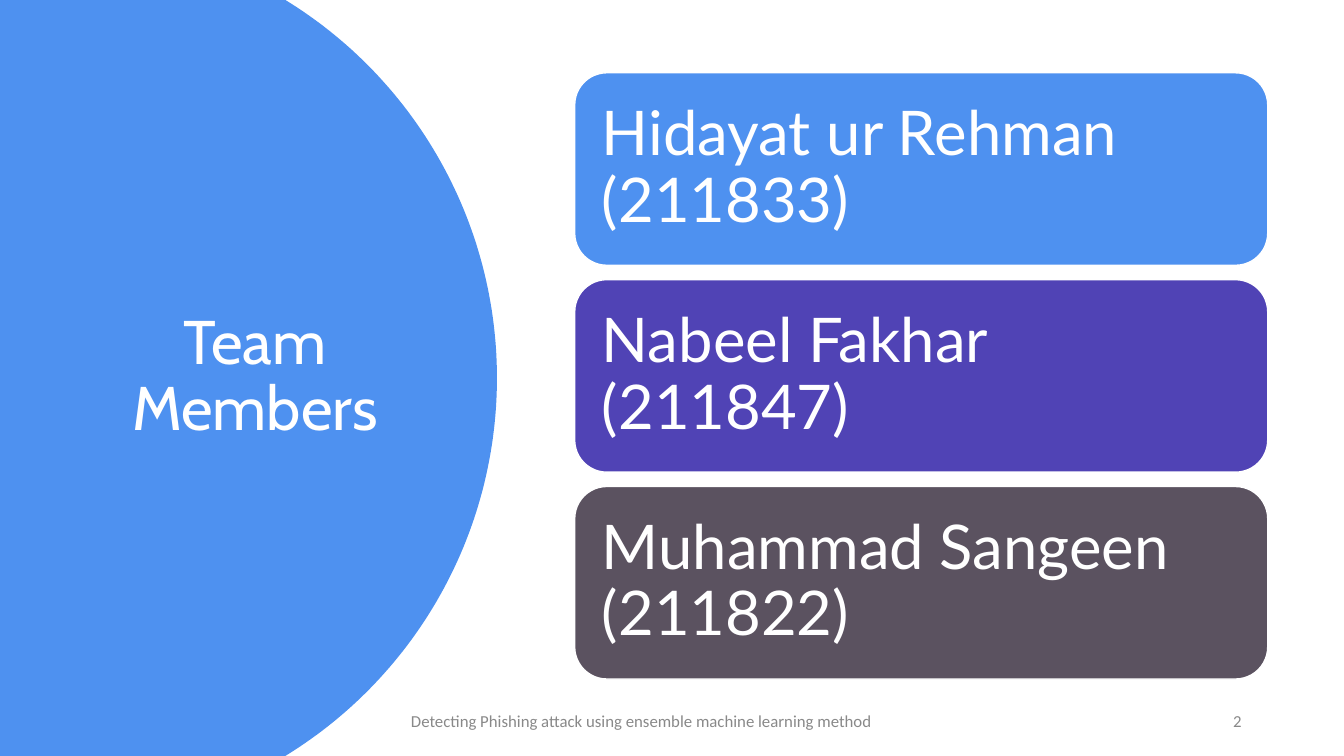
import math

from pptx import Presentation, util as u
from pptx.dml.color import RGBColor
from pptx.enum import shapes, text

BLUE = RGBColor(0x4E, 0x91, 0xF0)
VIOLET = RGBColor(0x50, 0x43, 0xB5)
SLATE = RGBColor(0x5B, 0x52, 0x60)
GREY = RGBColor(0x89, 0x89, 0x89)
WHITE = RGBColor(0xFF, 0xFF, 0xFF)

WIDE, HIGH = 960, 540
MEMBERS = [
    ("Hidayat ur Rehman\v(211833)", BLUE),
    ("Nabeel Fakhar\v(211847)", VIOLET),
    ("Muhammad Sangeen\v(211822)", SLATE),
]


class Deck:
    """Draws the elements of one slide in a shared style."""

    def __init__(self):
        self.show = Presentation()
        self.show.slide_width, self.show.slide_height = u.Pt(WIDE), u.Pt(HIGH)
        self.slide = self.show.slides.add_slide(self.show.slide_layouts[5])
        self.items = self.slide.shapes

    def label(self, shape, words, font, size, color, align, line=1.0):
        frame = shape.text_frame
        frame.text = words
        frame.word_wrap = True
        frame.auto_size = text.MSO_AUTO_SIZE.NONE
        frame.vertical_anchor = text.MSO_ANCHOR.MIDDLE
        para = frame.paragraphs[0]
        para.alignment = align
        para.line_spacing = line
        for run in para.runs:
            run.font.name = font
            run.font.size = u.Pt(size)
            run.font.color.rgb = color

    def paint(self, shape, color):
        shape.shadow.inherit = False
        shape.fill.solid()
        shape.fill.fore_color.rgb = color

    def panel(self, mid, radius, color):
        half = math.asin(HIGH / 2 / radius)
        steps = 120
        angles = [half * (2 * i / steps - 1) for i in range(steps + 1)]
        curve = [(u.Pt(mid + radius * math.cos(a)),
                  u.Pt(HIGH / 2 + radius * math.sin(a))) for a in angles]
        pen = self.items.build_freeform(0, 0)
        pen.add_line_segments(curve + [(0, u.Pt(HIGH))])
        shape = pen.convert_to_shape()
        self.paint(shape, color)
        shape.line.fill.background()

    def title(self, words, left, top, width, height):
        shape = self.items.title
        shape.left, shape.top = u.Pt(left), u.Pt(top)
        shape.width, shape.height = u.Pt(width), u.Pt(height)
        self.label(shape, words, "Cabin", 44, WHITE, text.PP_ALIGN.CENTER, 0.9)
        self.items.element.append(shape.element)

    def card(self, words, color, left, top, width, height):
        shape = self.items.add_shape(
            shapes.MSO_SHAPE.ROUNDED_RECTANGLE,
            u.Pt(left), u.Pt(top), u.Pt(width), u.Pt(height))
        self.paint(shape, color)
        shape.line.color.rgb = WHITE
        shape.line.width = u.Pt(1)
        frame = shape.text_frame
        frame.margin_left = frame.margin_right = u.Pt(12.7)
        self.label(shape, words, "Lato", 44, WHITE, text.PP_ALIGN.LEFT, 0.9)

    def note(self, words, left, width, align):
        shape = self.items.add_textbox(
            u.Pt(left), u.Pt(500.5), u.Pt(width), u.Pt(28.75))
        self.label(shape, words, "Calibri", 12, GREY, align)


def main():
    deck = Deck()
    deck.panel(38.3, 316.7, BLUE)
    deck.title("Team Members", 66, 50.5, 232.5, 438.5)
    deck.note("Detecting Phishing attack using ensemble machine learning method",
              286.5, 355, text.PP_ALIGN.LEFT)
    deck.note("2", 678, 216, text.PP_ALIGN.RIGHT)
    for row, (name, color) in enumerate(MEMBERS):
        deck.card(name, color, 410.5, 52 + 147.75 * row, 495, 137.5)
    deck.show.save("out.pptx")


if __name__ == "__main__":
    main()
